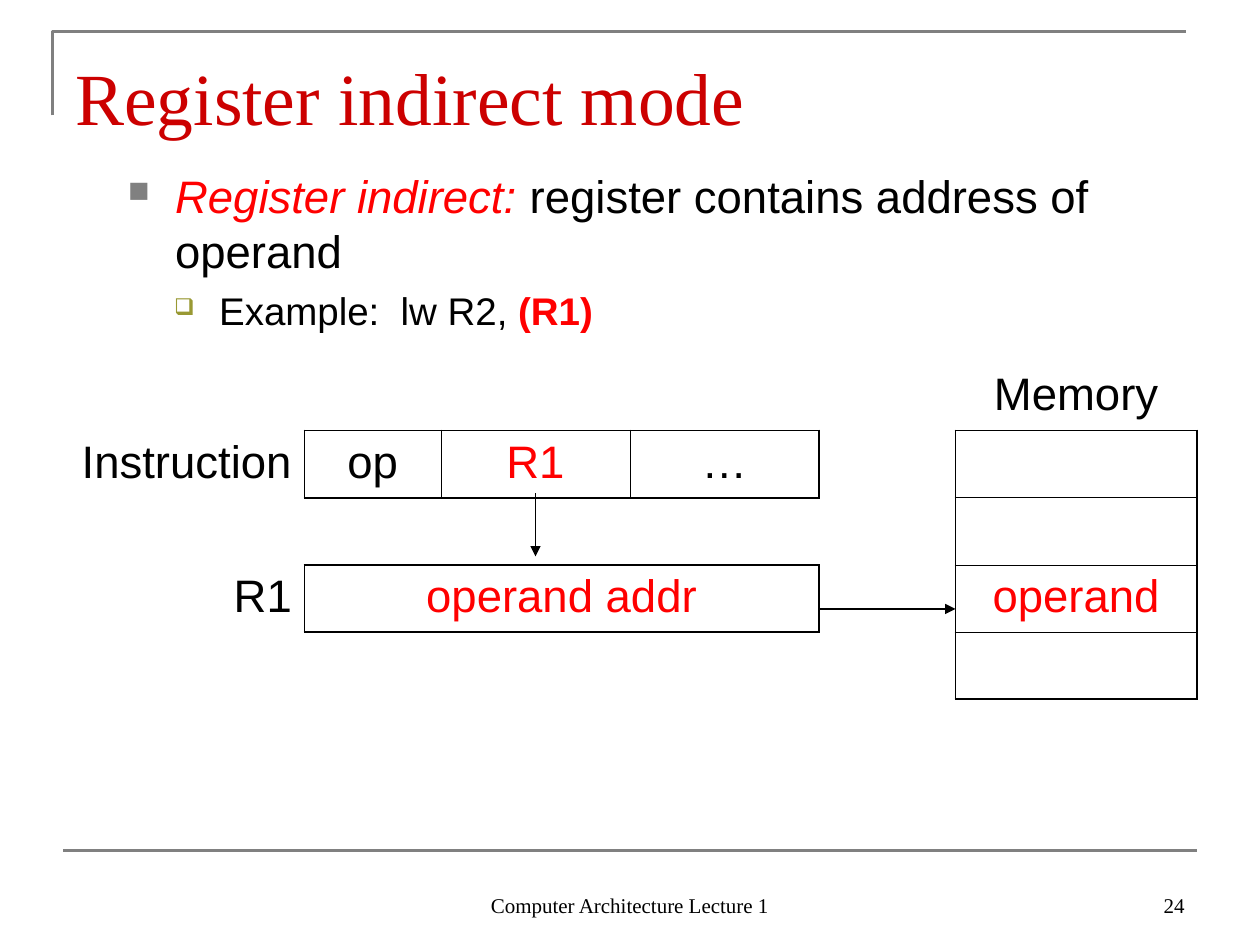
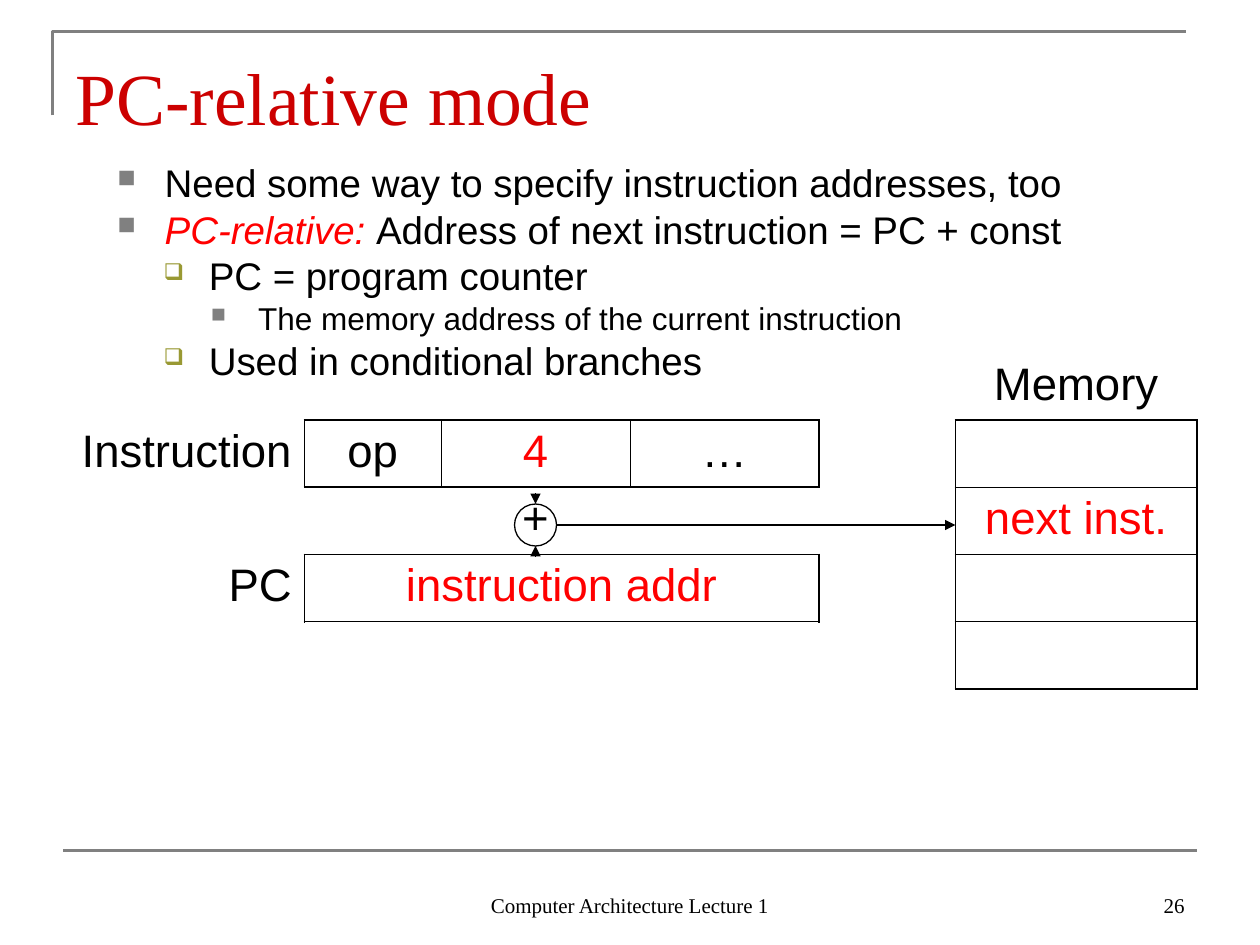
import lxml.etree
import pptx
import pptx.dml.color
import pptx.enum.shapes
import pptx.enum.text
import pptx.oxml.ns
import pptx.util

SCALE = 7620
SANS, SERIF = "Arial", "Times New Roman"
BLACK, RED, TITLE_RED, GRAY, OLIVE = "000000", "FF0000", "CC0000", "808080", "999933"
THICK, THIN = 1.08, 0.45
NO_GRID_STYLE = "{2D5ABB26-0587-4C30-8999-92F81FD0307C}"
BULLETS = [("■", GRAY, 65, 45, 45), ("❑", OLIVE, 60, 87, 43), ("■", GRAY, 65, 134, 45)]
COLUMNS = [230, 130, 180, 180, 130, 230]
ROW_COUNT, ROW_HEIGHT = 5, 64
NEIGHBOURS = {"L": (0, -1, "R"), "R": (0, 1, "L"), "T": (-1, 0, "B"), "B": (1, 0, "T")}
LEFT = pptx.enum.text.PP_ALIGN.LEFT
CENTER = pptx.enum.text.PP_ALIGN.CENTER
RIGHT = pptx.enum.text.PP_ALIGN.RIGHT
TOP = pptx.enum.text.MSO_ANCHOR.TOP
BOTTOM = pptx.enum.text.MSO_ANCHOR.BOTTOM


def px(length):
    return pptx.util.Emu(length * SCALE)


def rgb(code):
    return pptx.dml.color.RGBColor.from_string(code)


def add_xml(parent, tag, **attributes):
    return lxml.etree.SubElement(parent, pptx.oxml.ns.qn(tag), attributes)


class LectureDeck:
    """Holds the lecture style and draws elements on the current slide."""

    def __init__(self):
        self.deck = pptx.Presentation()
        self.deck.slide_width, self.deck.slide_height = px(1200), px(900)
        self.page = None

    def start_page(self, title, number):
        self.page = self.deck.slides.add_slide(self.deck.slide_layouts[6])
        builder = self.page.shapes.build_freeform(50, 110, scale=SCALE)
        builder.add_line_segments([(50, 30), (1130, 30)], close=False)
        self.outline(builder.convert_to_shape(), GRAY, 1.5)
        self.line((60, 810), (1140, 810), GRAY, 1.5)
        self.label("Computer Architecture Lecture 1", (410, 820, 380, 60), 12, BLACK, CENTER, BOTTOM)
        self.label(number, (860, 820, 280, 60), 12, BLACK, RIGHT, BOTTOM)
        self.label(title, (60, 36, 1080, 94), 42, TITLE_RED, LEFT, TOP, 14)

    def outline(self, shape, color, width):
        shape.shadow.inherit = False
        shape.fill.background()
        shape.line.color.rgb = rgb(color)
        shape.line.width = pptx.util.Pt(width)

    def frame(self, area, anchor, top_inset):
        box = self.page.shapes.add_textbox(*map(px, area)).text_frame
        box.word_wrap = True
        box.vertical_anchor = anchor
        box.margin_top = px(top_inset)
        return box

    def span(self, para, text, size, color=BLACK, font=SANS, bold=False, italic=False):
        span = para.add_run()
        span.text = text
        span.font.name = font
        span.font.size = pptx.util.Pt(size)
        span.font.bold, span.font.italic = bold, italic
        span.font.color.rgb = rgb(color)

    def label(self, text, area, size, color, align, anchor, top_inset=6):
        para = self.frame(area, anchor, top_inset).paragraphs[0]
        para.alignment = align
        self.span(para, text, size, color, SERIF)

    def bullets(self, area, items, spacing=1.0):
        box = self.frame(area, TOP, 10)
        for index, (level, size, spans) in enumerate(items):
            para = box.add_paragraph() if index else box.paragraphs[0]
            mark, color, percent, margin, hang = BULLETS[level]
            para.level = level
            properties = para._p.get_or_add_pPr()
            properties.set("marL", str(px(margin)))
            properties.set("indent", str(px(-hang)))
            add_xml(add_xml(properties, "a:buClr"), "a:srgbClr", val=color)
            add_xml(properties, "a:buSzPct", val=str(percent * 1000))
            add_xml(properties, "a:buChar", char=mark)
            para.line_spacing = spacing
            if index:
                para.space_before = pptx.util.Pt(size / 4)
            for text, style in spans:
                self.span(para, text, size, **style)

    def line(self, start, end, color=BLACK, width=0.75, arrow=False):
        straight = pptx.enum.shapes.MSO_CONNECTOR.STRAIGHT
        connector = self.page.shapes.add_connector(straight, *map(px, start + end))
        connector.line.color.rgb = rgb(color)
        connector.line.width = pptx.util.Pt(width)
        properties = connector.element.spPr
        if arrow:
            add_xml(properties.find(pptx.oxml.ns.qn("a:ln")), "a:tailEnd", type="triangle")
        add_xml(properties, "a:effectLst")

    def arrow(self, start, end):
        self.line(start, end, arrow=True)

    def circle(self, area):
        oval = pptx.enum.shapes.MSO_SHAPE.OVAL
        self.outline(self.page.shapes.add_shape(oval, *map(px, area)), BLACK, 0.75)

    def edges(self, regions):
        widths = {}
        for top, left, bottom, right, inner in regions:
            for row in range(top, bottom + 1):
                for column in range(left, right + 1):
                    outer = {"L": column == left, "R": column == right,
                             "T": row == top, "B": row == bottom}
                    for side, (down, across, opposite) in NEIGHBOURS.items():
                        width = THICK if outer[side] else inner
                        widths[row, column, side] = width
                        widths[row + down, column + across, opposite] = width
        return widths

    def memory_diagram(self, top, texts):
        shape = self.page.shapes.add_table(ROW_COUNT, len(COLUMNS), px(60), px(top),
                                           px(sum(COLUMNS)), px(ROW_COUNT * ROW_HEIGHT))
        table = shape.table
        table.first_row = table.horz_banding = False
        for style in shape.element.iter(pptx.oxml.ns.qn("a:tableStyleId")):
            style.text = NO_GRID_STYLE
        for column, width in zip(table.columns, COLUMNS):
            column.width = px(width)
        for row in table.rows:
            row.height = px(ROW_HEIGHT)
        table.cell(3, 1).merge(table.cell(3, 3))
        widths = self.edges([(1, 1, 1, 3, THIN), (3, 1, 3, 3, THICK), (1, 5, 4, 5, THIN)])
        for row in range(ROW_COUNT):
            for column in range(len(COLUMNS)):
                cell = table.cell(row, column)
                self.cell_borders(cell, {side: widths.get((row, column, side)) for side in "LRTB"})
                cell.fill.background()
                if (row, column) in texts:
                    text, color = texts[row, column]
                    para = cell.text_frame.paragraphs[0]
                    para.alignment = CENTER if column else RIGHT
                    self.span(para, text, 26, color)

    def cell_borders(self, cell, widths):
        properties = cell._tc.get_or_add_tcPr()
        for side, width in widths.items():
            if width:
                border = add_xml(properties, "a:ln" + side, w=str(pptx.util.Pt(width)))
                add_xml(add_xml(border, "a:solidFill"), "a:srgbClr", val=BLACK)


def main():
    lecture = LectureDeck()
    term = {"color": RED, "italic": True}
    shared_cells = {(0, 5): ("Memory", BLACK), (1, 0): ("Instruction", BLACK),
                    (1, 1): ("op", BLACK), (1, 3): ("…", BLACK)}

    lecture.start_page("Register indirect mode", "24")
    lecture.bullets((110, 150, 1030, 317), [
        (0, 26, [("Register indirect: ", term), ("register contains address of operand", {})]),
        (1, 22, [("Example:  lw R2, ", {}), ("(R1)", {"color": RED, "bold": True})]),
    ])
    lecture.memory_diagram(346, shared_cells | {
        (1, 2): ("R1", RED), (3, 0): ("R1", BLACK),
        (3, 1): ("operand addr", RED), (3, 5): ("operand", RED)})
    lecture.arrow((510, 470), (510, 530))
    lecture.arrow((780, 580), (910, 580))

    lecture.start_page("PC-relative mode", "26")
    lecture.bullets((100, 150, 1040, 230), [
        (0, 22, [("Need some way to specify instruction addresses, too", {})]),
        (0, 22, [("PC-relative: ", term), ("Address of next instruction = PC + const", {})]),
        (1, 22, [("PC = program counter", {})]),
        (2, 18, [("The memory address of the current instruction", {})]),
        (1, 22, [("Used in conditional branches", {})]),
    ], spacing=0.8)
    lecture.memory_diagram(336, shared_cells | {
        (1, 2): ("4", RED), (2, 2): ("+", BLACK), (2, 5): ("next inst.", RED),
        (3, 0): ("PC", BLACK), (3, 1): ("instruction addr", RED)})
    lecture.circle((490, 480, 40, 40))
    lecture.arrow((510, 470), (510, 480))
    lecture.arrow((510, 530), (510, 520))
    lecture.arrow((530, 500), (910, 500))

    lecture.deck.save("out.pptx")


if __name__ == "__main__":
    main()
